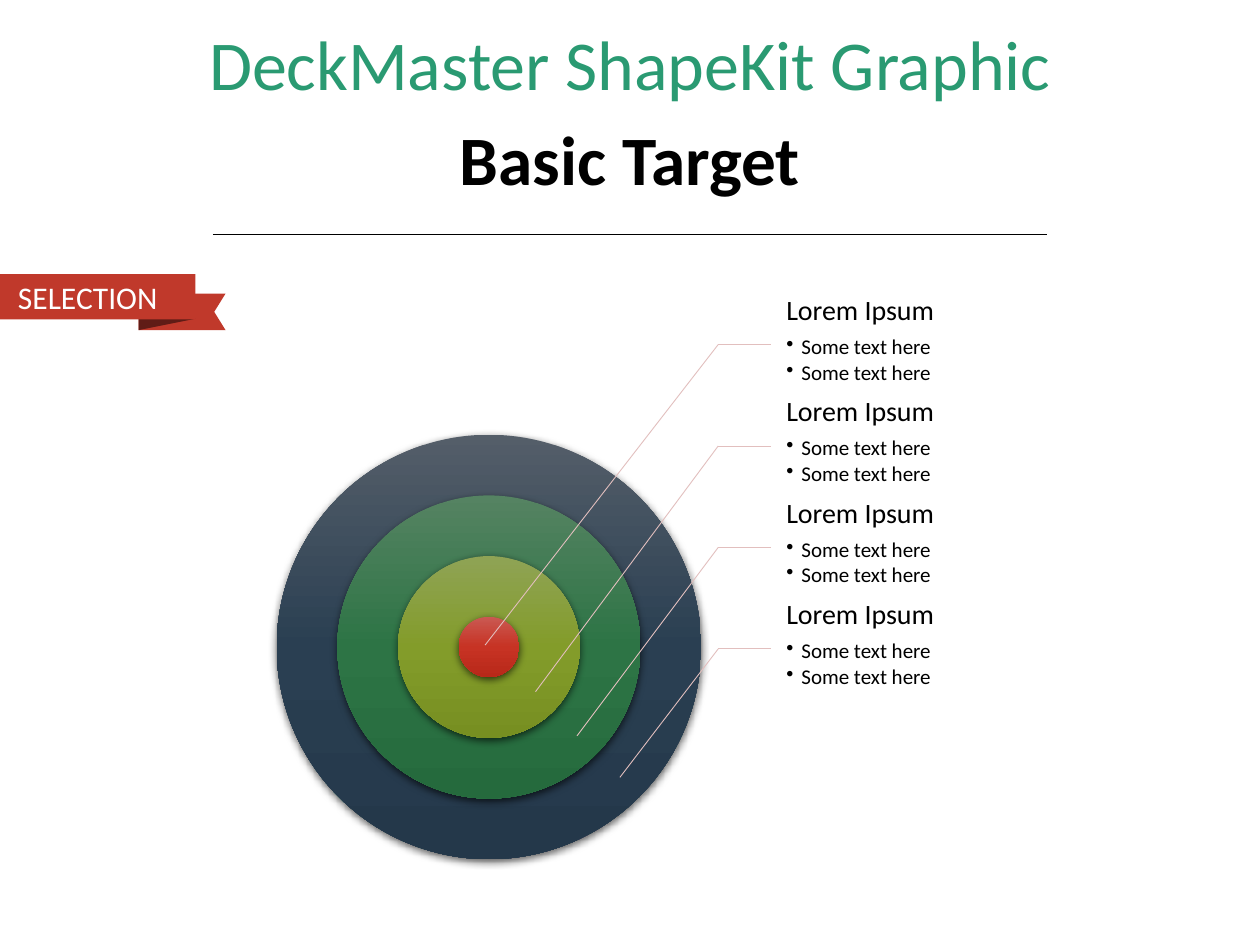
"""Build a target slide with ringed circles, leader lines and a ribbon."""
from dataclasses import dataclass
from typing import NamedTuple

from lxml.etree import SubElement
from pptx import Presentation
from pptx.dml.color import RGBColor as Rgb
from pptx.enum.shapes import MSO_CONNECTOR as Link, MSO_SHAPE as Kind
from pptx.enum.text import MSO_ANCHOR as Anchor, PP_ALIGN as Align
from pptx.oxml.ns import qn
from pptx.util import Emu, Inches, Pt

WIDE, HIGH = Inches(10), Inches(7.5)
COLS = 100
CELL = WIDE / COLS


@dataclass(frozen=True)
class Theme:
    font: str = "Calibri"
    green: str = "2A9A72"
    black: str = "000000"
    white: str = "FFFFFF"
    red: str = "C0392B"
    fold: str = "601C16"
    pink: str = "E2BFBE"
    head: float = 40
    title: float = 39.6
    tag: float = 18
    item: float = 16
    note: float = 12
    thin: float = 0.5


class Box(NamedTuple):
    left: float
    top: float
    width: float
    height: float


class Spot(NamedTuple):
    col: float
    row: float


class Ring(NamedTuple):
    tones: tuple[str, str, str]
    tip: Spot
    name: str = "Lorem Ipsum"
    notes: tuple[str, ...] = ("Some text here", "Some text here")


THEME = Theme()
HUB = Spot(38.8, 51.35)
CORE, STEP = 4.8, 9.63
LIST = Box(61.2, 23.3, 16.8, 8.05)
ELBOW, DROP = 57, 4.05
RINGS = [
    Ring(("CA5952", "C73324", "B82819"), Spot(38.5, 51.2)),
    Ring(("8FA355", "839C2A", "778F21"), Spot(42.5, 54.9)),
    Ring(("558362", "2D7445", "256A3D"), Spot(45.8, 58.4)),
    Ring(("545E69", "2A3F52", "24384A"), Spot(49.2, 61.7)),
]


def cells(*spans: float) -> list[Emu]:
    return [Emu(round(span * CELL)) for span in spans]


def plain(shape, tone: str) -> None:
    shape.shadow.inherit = False
    shape.fill.solid()
    shape.fill.fore_color.rgb = Rgb.from_string(tone)
    shape.line.fill.background()


def style(para, text: str, size: float, tone: str, bold: bool = False) -> None:
    para.text = text
    font = para.font
    font.name, font.size, font.bold = THEME.font, Pt(size), bold
    font.color.rgb = Rgb.from_string(tone)


def inset(frame, *gaps: float) -> None:
    frame.word_wrap = True
    (frame.margin_left, frame.margin_top,
     frame.margin_right, frame.margin_bottom) = cells(*gaps)


def banner(slide, box: Box, text: str, size: float, tone: str, bold: bool) -> None:
    frame = slide.shapes.add_textbox(*cells(*box)).text_frame
    frame.word_wrap = True
    frame.vertical_anchor = Anchor.MIDDLE
    para = frame.paragraphs[0]
    style(para, text, size, tone, bold)
    para.alignment, para.line_spacing = Align.CENTER, 0.9


def rule(slide, start: Spot, end: Spot, tone: str) -> None:
    line = slide.shapes.add_connector(Link.STRAIGHT, *cells(*start, *end))
    line.line.color.rgb = Rgb.from_string(tone)
    line.line.width = Pt(THEME.thin)
    SubElement(line._element.spPr, qn("a:effectLst"))


def patch(slide, spots: list[Spot], tone: str) -> None:
    first, *rest = [cells(*spot) for spot in spots]
    pen = slide.shapes.build_freeform(*first)
    pen.add_line_segments(rest, close=True)
    plain(pen.convert_to_shape(), tone)


def ribbon(slide, text: str) -> None:
    left, right, top, base = 11, 17.9, 23.3, 26.2
    patch(slide, [Spot(left, base), Spot(right, base), Spot(17, 24.75),
                  Spot(right, top), Spot(left, top)], THEME.red)
    patch(slide, [Spot(15.5, 25.3), Spot(left, base), Spot(left, 25.3)], THEME.fold)
    tag = slide.shapes.add_shape(Kind.RECTANGLE, *cells(0, 21.75, 15.5, 3.6))
    plain(tag, THEME.red)
    frame = tag.text_frame
    inset(frame, 1, 0, 3, 0)
    frame.vertical_anchor = Anchor.MIDDLE
    style(frame.paragraphs[0], text, THEME.tag, THEME.white)
    frame.paragraphs[0].alignment = Align.RIGHT


def disc(slide, size: float, tones: tuple[str, str, str]) -> None:
    box = Box(HUB.col - size / 2, HUB.row - size / 2, size, size)
    shape = slide.shapes.add_shape(Kind.OVAL, *cells(*box))
    plain(shape, tones[1])
    props = shape._element.spPr
    solid = props.find(qn("a:solidFill"))
    grad = SubElement(props, qn("a:gradFill"), rotWithShape="1")
    props.replace(solid, grad)
    stops = SubElement(grad, qn("a:gsLst"))
    for share, tone in zip((0, 50000, 100000), tones):
        stop = SubElement(stops, qn("a:gs"), pos=str(share))
        SubElement(stop, qn("a:srgbClr"), val=tone)
    SubElement(grad, qn("a:lin"), ang="5400000", scaled="0")
    shade = SubElement(props.find(qn("a:effectLst")), qn("a:outerShdw"),
                       blurRad=str(Pt(4.5)), dist=str(Pt(1.5)), dir="5400000",
                       algn="ctr", rotWithShape="0")
    ink = SubElement(shade, qn("a:srgbClr"), val=THEME.black)
    SubElement(ink, qn("a:alpha"), val="63000")


def label(slide, ring: Ring, top: float) -> None:
    box = LIST._replace(top=top)
    frame = slide.shapes.add_textbox(*cells(*box)).text_frame
    inset(frame, 1.2, 0.2, 0.2, 0.2)
    para = frame.paragraphs[0]
    style(para, ring.name, THEME.item, THEME.black)
    para.line_spacing, para.space_after = 0.9, Pt(THEME.item * 0.35)
    for note in ring.notes:
        para = frame.add_paragraph()
        style(para, note, THEME.note, THEME.black)
        para.level = 1
        para.line_spacing, para.space_after = 0.9, Pt(THEME.note * 0.15)
        props = para._p.get_or_add_pPr()
        props.set("marL", str(Inches(0.12)))
        props.set("indent", str(Inches(-0.12)))
        dot = props.makeelement(qn("a:buChar"), {"char": "•"})
        props.find(qn("a:defRPr")).addprevious(dot)


def main() -> None:
    deck = Presentation()
    deck.slide_width, deck.slide_height = WIDE, HIGH
    slide = deck.slides.add_slide(deck.slide_layouts[6])
    banner(slide, Box(6.9, 1.6, 86.2, 7.5), "DeckMaster ShapeKit Graphic",
           THEME.head, THEME.green, False)
    rule(slide, Spot(16.9, 18.6), Spot(83.1, 18.6), THEME.black)
    ribbon(slide, "SELECTION")
    banner(slide, Box(6.9, 9.2, 86.2, 7.5), "Basic Target",
           THEME.title, THEME.black, True)
    for rank, ring in reversed(list(enumerate(RINGS))):
        disc(slide, CORE + rank * STEP, ring.tones)
    for rank, ring in enumerate(RINGS):
        top = LIST.top + rank * LIST.height
        bend = Spot(ELBOW, top + DROP)
        label(slide, ring, top)
        rule(slide, bend, Spot(LIST.left, bend.row), THEME.pink)
        rule(slide, bend, ring.tip, THEME.pink)
    deck.save("out.pptx")


if __name__ == "__main__":
    main()
